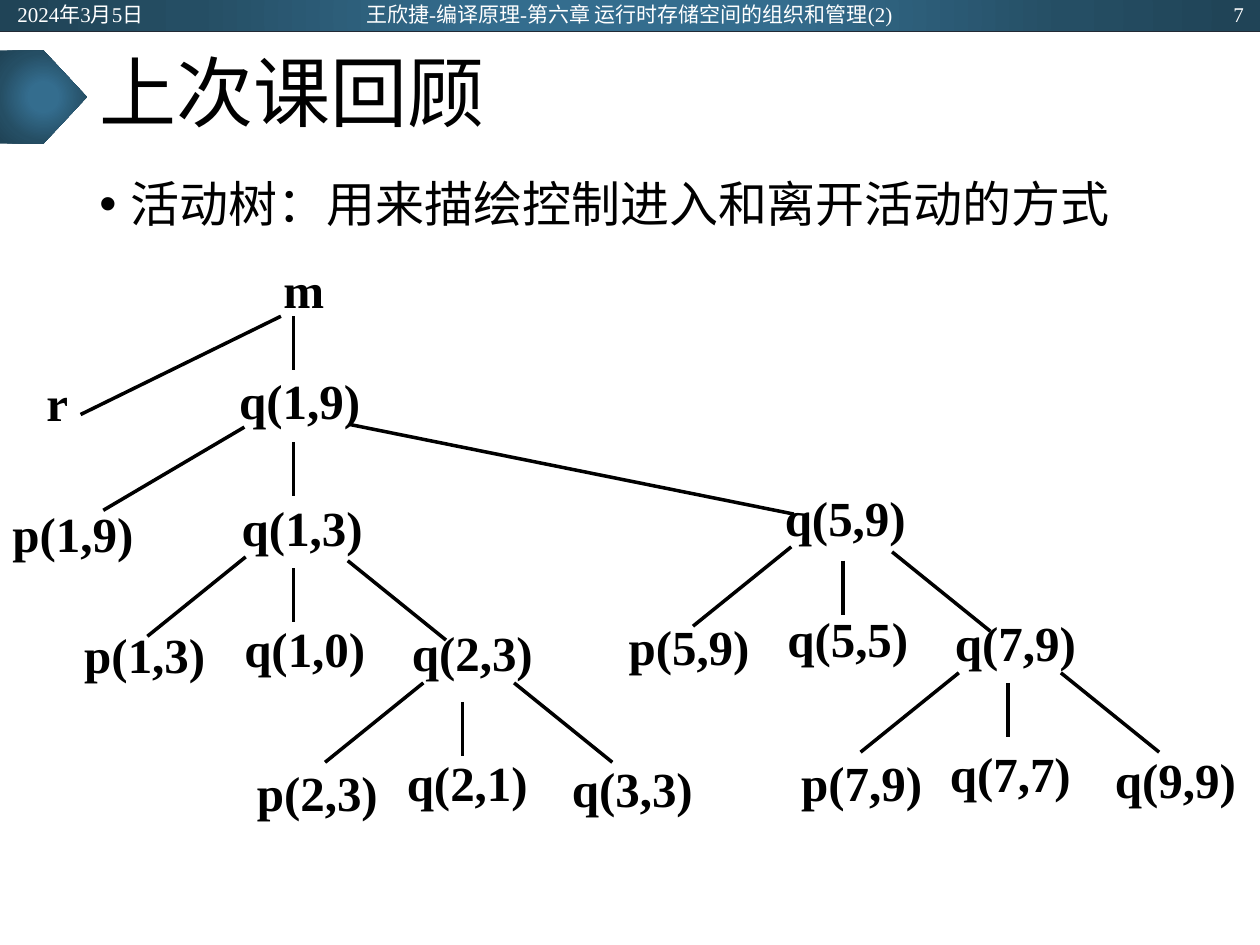
from lxml import etree
from pptx import Presentation
from pptx.dml.color import RGBColor
from pptx.enum import shapes, text
from pptx.oxml import parse_xml
from pptx.oxml.ns import nsdecls, qn
from pptx.util import Inches, Pt

FONT = "Times New Roman"
LEFT, CENTER, RIGHT = text.PP_ALIGN.LEFT, text.PP_ALIGN.CENTER, text.PP_ALIGN.RIGHT
TOP, MIDDLE = text.MSO_ANCHOR.TOP, text.MSO_ANCHOR.MIDDLE

presentation = Presentation()
presentation.slide_width, presentation.slide_height = Inches(10), Inches(7.5)
slide = presentation.slides.add_slide(presentation.slide_layouts[5])


def write(words, box, shape=None, size=28, color="000000", bold=False,
          align=LEFT, anchor=TOP, spacing=1.0, wrap=True):
    """Put formatted text in a shape, or in a new text box, and return its paragraph."""
    box = [Inches(value) for value in box]
    if shape is None:
        shape = slide.shapes.add_textbox(*box)
    shape.left, shape.top, shape.width, shape.height = box
    frame = shape.text_frame
    frame.word_wrap = wrap
    frame.auto_size = text.MSO_AUTO_SIZE.NONE
    frame.vertical_anchor = anchor
    paragraph = frame.paragraphs[0]
    paragraph.alignment = align
    paragraph.line_spacing = spacing
    run = paragraph.add_run()
    run.text = words
    run.font.name, run.font.size, run.font.bold = FONT, Pt(size), bold
    run.font.color.rgb = RGBColor.from_string(color)
    return paragraph


def draw_line(x1, y1, x2, y2, color="000000", width=2):
    line = slide.shapes.add_connector(
        shapes.MSO_CONNECTOR.STRAIGHT, Inches(x1), Inches(y1), Inches(x2), Inches(y2))
    line.line.color.rgb = RGBColor.from_string(color)
    line.line.width = Pt(width)
    etree.SubElement(line._element.spPr, qn("a:effectLst"))


# Header band and title marker, both with a radial gradient
stops = "".join(
    f'<a:gs pos="{position * 1000}"><a:srgbClr val="{color}"/></a:gs>'
    for position, color in [(0, "346D8E"), (23, "346D8E"), (69, "254E64"), (97, "204457")])
gradient = (
    f'<a:gradFill {nsdecls("a")} rotWithShape="1"><a:gsLst>{stops}</a:gsLst><a:path path="circle">'
    '<a:fillToRect l="50000" t="50000" r="50000" b="50000"/></a:path></a:gradFill>')
for kind, box in [(shapes.MSO_SHAPE.RECTANGLE, (0, 0, 10, 0.25)),
                  (shapes.MSO_SHAPE.PENTAGON, (0, 0.4, 0.69, 0.74))]:
    shape = slide.shapes.add_shape(kind, *[Inches(value) for value in box])
    shape.shadow.inherit = False
    shape.line.fill.background()
    shape._element.spPr.find(qn("a:prstGeom")).addnext(parse_xml(gradient))
draw_line(0, 0.25, 10, 0.25, color="222A35", width=0.5)

# Header text
for words, box, align in [
    ("2024年3月5日", (0.04, 0.01, 2.25, 0.2), LEFT),
    ("王欣捷-编译原理-第六章 运行时存储空间的组织和管理(2)", (2.53, -0.03, 4.93, 0.28), CENTER),
    ("7", (7.72, 0.01, 2.25, 0.2), RIGHT),
]:
    write(words, box, size=12, color="FFFFFF", align=align, anchor=MIDDLE)

# Title and bullet
write("上次课回顾", (0.69, 0.25, 8.62, 1.04), shape=slide.shapes.title,
      size=44, anchor=MIDDLE, spacing=0.9)
bullet = write("活动树：用来描绘控制进入和离开活动的方式", (0.69, 1.38, 8.62, 5.38), spacing=0.9)
bullet.space_before = Pt(10)
properties = bullet._p.get_or_add_pPr()
properties.set("marL", str(Inches(0.25)))
properties.set("indent", str(Inches(-0.25)))
etree.SubElement(properties, qn("a:buFont")).set("typeface", "Arial")
etree.SubElement(properties, qn("a:buChar")).set("char", "•")

# Activation tree: nodes
nodes = [
    ("m", 2.15, 2.01), ("r", 0.27, 2.91), ("q(1,9)", 1.8, 2.89),
    ("p(1,9)", 0, 3.95), ("q(1,3)", 1.82, 3.9), ("q(5,9)", 6.13, 3.82),
    ("p(1,3)", 0.57, 4.91), ("q(1,0)", 1.84, 4.86), ("q(2,3)", 3.17, 4.89),
    ("p(5,9)", 4.89, 4.84), ("q(5,5)", 6.15, 4.78), ("q(7,9)", 7.48, 4.81),
    ("p(2,3)", 1.94, 6), ("q(2,1)", 3.13, 5.92), ("q(3,3)", 4.44, 5.97),
    ("p(7,9)", 6.26, 5.92), ("q(7,7)", 7.44, 5.85), ("q(9,9)", 8.75, 5.9),
]
for label, left, top in nodes:
    write(label, (left, top, 1.25, 0.76), bold=True, wrap=False)

# Edges that share one slope: start points grouped by run and drop
branches = {
    (0, 0.43): [(2.33, 2.51), (2.33, 3.51), (2.33, 4.51), (3.67, 5.57), (6.69, 4.45), (8, 5.42)],
    (-0.78, 0.63): [(1.95, 4.42), (3.36, 5.42), (6.28, 4.34), (7.61, 5.34)],
    (0.78, 0.63): [(2.76, 4.45), (4.08, 5.42), (7.08, 4.38), (8.42, 5.34)],
}
for (run, drop), starts in branches.items():
    for x, y in starts:
        draw_line(x, y, x + run, y + drop)

# Long edges: m to r, q(1,9) to p(1,9), q(1,9) to q(5,9)
for edge in [(2.23, 2.51, 0.64, 3.29), (1.94, 3.39, 0.82, 4.05), (2.78, 3.37, 6.3, 4.08)]:
    draw_line(*edge)

presentation.save("out.pptx")
